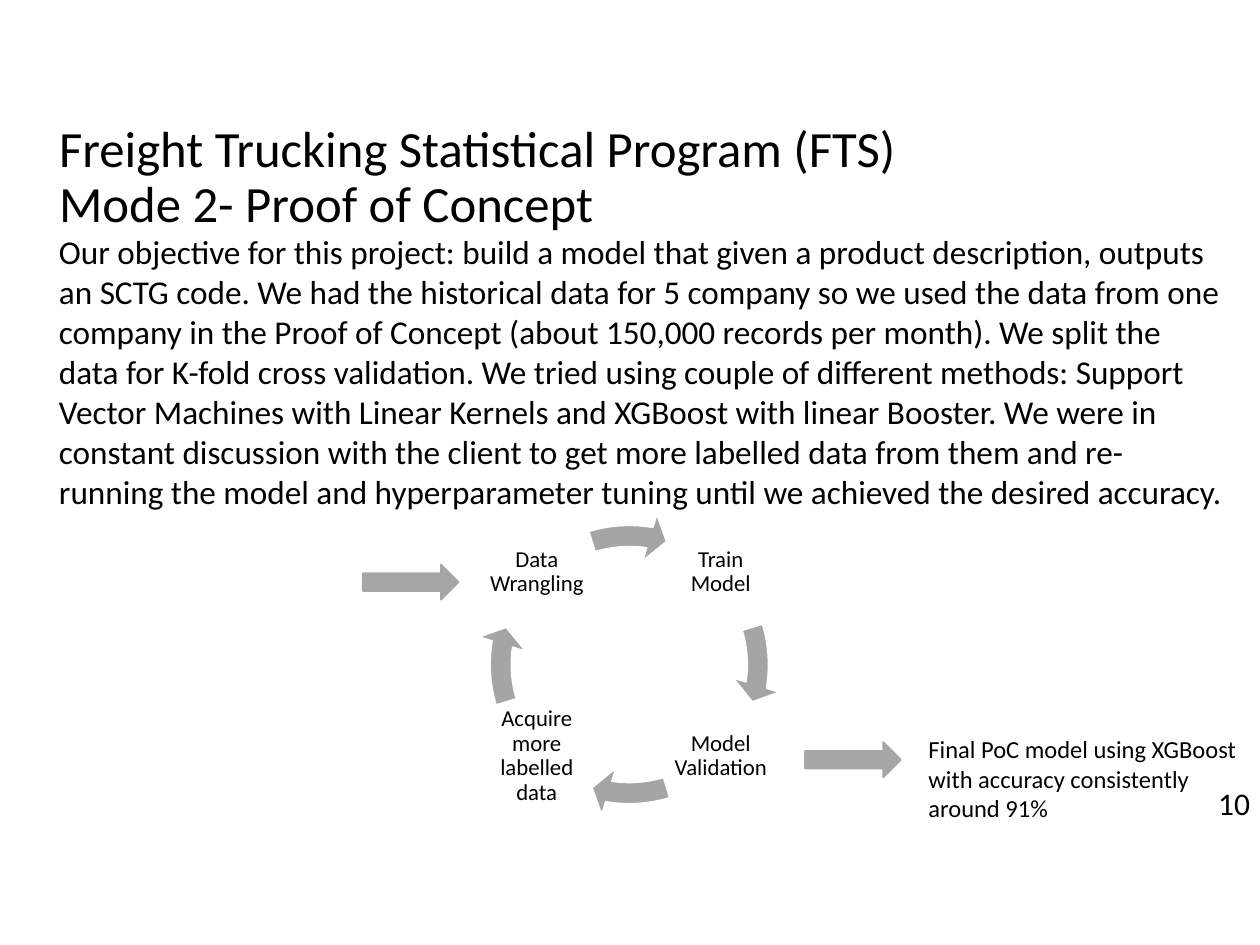
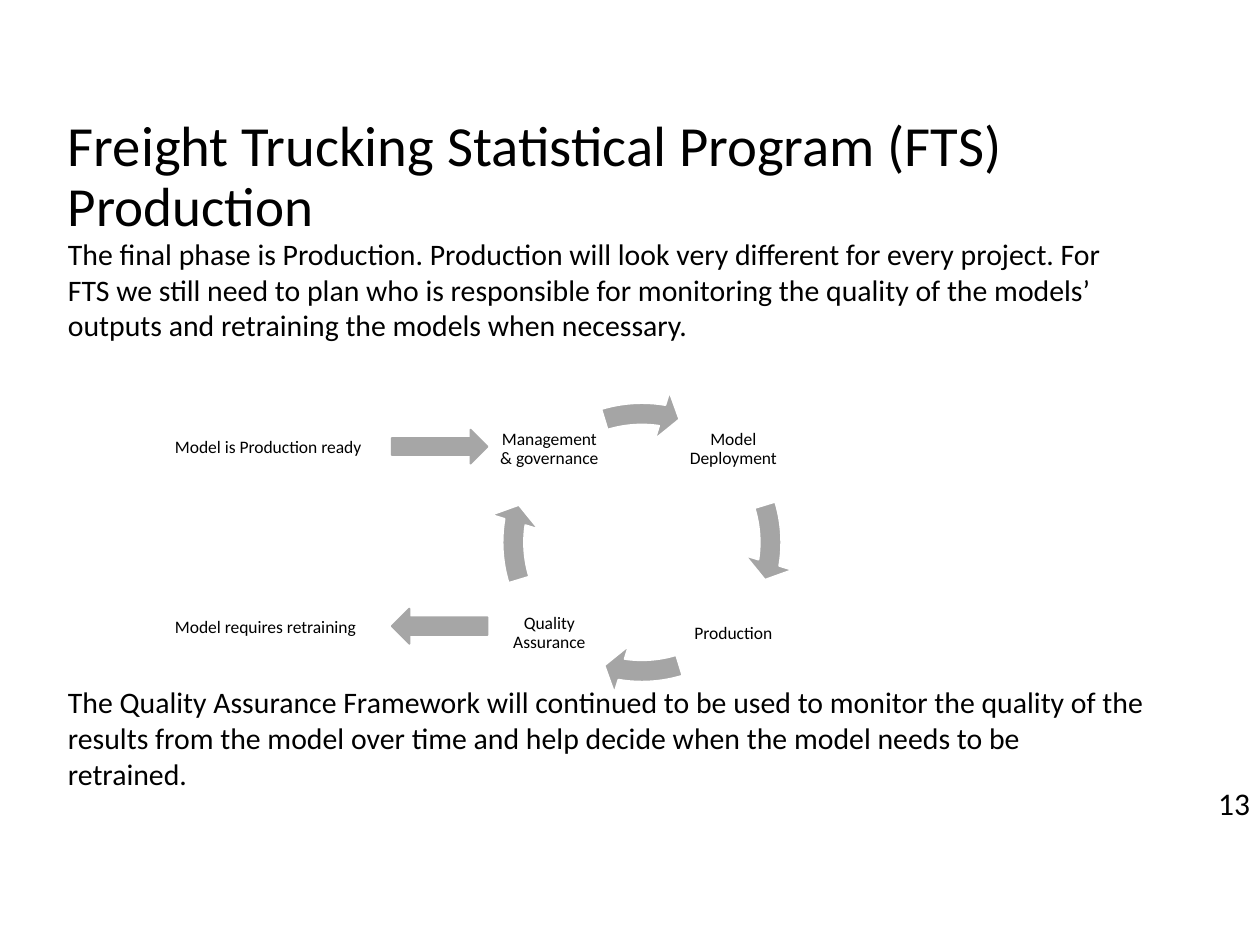
from dataclasses import dataclass

from pptx import Presentation
from pptx.dml.color import RGBColor
from pptx.enum import shapes, text
from pptx.shapes.autoshape import Shape
from pptx.slide import Slide
from pptx.util import Inches, Pt

BLACK = RGBColor(0x00, 0x00, 0x00)
WHITE = RGBColor(0xFF, 0xFF, 0xFF)
RING_GREY = RGBColor(0xA5, 0xA5, 0xA5)
ARROW_GREY = RGBColor(0xA6, 0xA6, 0xA6)
FONT = "Calibri"

RING_SIZE = 2.43
STEP_SIZE = 0.86
STEP_NEAR, STEP_FAR = 0.05, 1.51
# Clockwise from the top right corner
STEP_OFFSETS = [(STEP_FAR, STEP_NEAR), (STEP_FAR, STEP_FAR),
                (STEP_NEAR, STEP_FAR), (STEP_NEAR, STEP_NEAR)]
# Angles of circular arrows: 216 units make a full turn
FULL_TURN = 216
QUARTER_TURN = FULL_TURN / 4
FIRST_ARROW_END, FIRST_ARROW_START = 5.48, 205.86


@dataclass
class TextBox:
    content: str
    left: float
    top: float
    width: float
    height: float
    size: float
    line_spacing: float = 1.0
    inset: float | None = None
    centred: bool = False
    middle: bool = False
    grows: bool = True


@dataclass
class Cycle:
    steps: list[str]
    left: float
    top: float
    text_size: float
    inset: float


@dataclass
class BlockArrow:
    left: float
    top: float
    height: float = 0.28
    preset: shapes.MSO_SHAPE = shapes.MSO_SHAPE.RIGHT_ARROW


def add_text(slide: Slide, box: TextBox) -> Shape:
    shape = slide.shapes.add_textbox(Inches(box.left), Inches(box.top),
                                     Inches(box.width), Inches(box.height))
    frame = shape.text_frame
    frame.word_wrap = True
    frame.auto_size = (text.MSO_AUTO_SIZE.SHAPE_TO_FIT_TEXT if box.grows
                       else text.MSO_AUTO_SIZE.NONE)
    frame.vertical_anchor = text.MSO_ANCHOR.MIDDLE if box.middle else text.MSO_ANCHOR.TOP
    if box.inset is not None:
        frame.margin_left = frame.margin_right = Inches(box.inset)
        frame.margin_top = frame.margin_bottom = Inches(box.inset)
    frame.text = box.content
    for paragraph in frame.paragraphs:
        paragraph.alignment = text.PP_ALIGN.CENTER if box.centred else text.PP_ALIGN.LEFT
        paragraph.line_spacing = box.line_spacing
        for run in paragraph.runs:
            run.font.name = FONT
            run.font.size = Pt(box.size)
            run.font.color.rgb = BLACK
    return shape


def add_title(slide: Slide, content: str, left: float, top: float, size: float) -> Shape:
    return add_text(slide, TextBox(content, left, top, 7.62, 1.02, size,
                                   line_spacing=0.9, middle=True, grows=False))


def add_page_number(slide: Slide, number: int) -> None:
    add_text(slide, TextBox(str(number), 9.57, 6.17, 1.36, 0.4, 18))


def add_preset(slide: Slide, preset: shapes.MSO_SHAPE, left: float, top: float,
               width: float, height: float, fill: RGBColor, line: RGBColor) -> Shape:
    shape = slide.shapes.add_shape(preset, Inches(left), Inches(top),
                                   Inches(width), Inches(height))
    shape.shadow.inherit = False
    shape.fill.solid()
    shape.fill.fore_color.rgb = fill
    shape.line.color.rgb = line
    shape.line.width = Pt(1)
    return shape


def add_block_arrow(slide: Slide, arrow: BlockArrow) -> None:
    add_preset(slide, arrow.preset, arrow.left, arrow.top, 0.76, arrow.height,
               ARROW_GREY, ARROW_GREY)


def add_cycle(slide: Slide, cycle: Cycle) -> None:
    """Draw four steps, each followed by a quarter of the ring."""
    for index, (step, (dx, dy)) in enumerate(zip(cycle.steps, STEP_OFFSETS)):
        add_text(slide, TextBox(step, cycle.left + dx, cycle.top + dy, STEP_SIZE, STEP_SIZE,
                                cycle.text_size, line_spacing=0.9, inset=cycle.inset,
                                centred=True, middle=True, grows=False))
        ring_arrow = add_preset(slide, shapes.MSO_SHAPE.CIRCULAR_ARROW, cycle.left, cycle.top,
                                RING_SIZE, RING_SIZE, RING_GREY, WHITE)
        turn = index * QUARTER_TURN
        settings = (0.07, 4.66, FIRST_ARROW_END + turn,
                    (FIRST_ARROW_START + turn) % FULL_TURN, 0.08)
        for position, value in enumerate(settings):
            ring_arrow.adjustments[position] = value


def build_proof_of_concept(slide: Slide) -> None:
    add_title(slide, "Freight Trucking Statistical Program (FTS)\vMode 2- Proof of Concept",
              0.37, 0.91, 29)
    add_text(slide, TextBox(
        "Our objective for this project: build a model that given a product description, "
        "outputs an SCTG code. We had the historical data for 5 company so we used the data "
        "from one company in the Proof of Concept (about 150,000 records per month). We split "
        "the data for K-fold cross validation. We tried using couple of different methods: "
        "Support Vector Machines with Linear Kernels and XGBoost with linear Booster. We were "
        "in constant discussion with the client to get more labelled data from them and "
        "re-running the model and hyperparameter tuning until we achieved the desired accuracy.",
        0.37, 1.79, 9.43, 2.66, 19))
    add_cycle(slide, Cycle(["Train Model", "Model Validation", "Acquire more labelled data",
                            "Data Wrangling"], 3.78, 4.06, 13, 0.02))
    for arrow in (BlockArrow(2.88, 4.48), BlockArrow(6.39, 5.89)):
        add_block_arrow(slide, arrow)
    add_text(slide, TextBox("Final PoC model using XGBoost with accuracy consistently around 91%",
                            7.27, 5.78, 2.71, 0.81, 14))
    add_page_number(slide, 10)


def build_production(slide: Slide) -> None:
    title = add_title(slide, "Freight Trucking Statistical Program (FTS)\vProduction",
                      0.44, 0.9, 32.4)
    title.text_frame.paragraphs[0].runs[-1].font.size = Pt(31.5)
    body = add_text(slide, TextBox(
        "The final phase is Production. Production will look very different for every project. "
        "For FTS we still need to plan who is responsible for monitoring the quality of the "
        "models’ outputs and retraining the models when necessary.\n"
        "The Quality Assurance Framework will continued to be used to monitor the quality of "
        "the results from the model over time and help decide when the model needs to be "
        "retrained.",
        0.44, 1.82, 8.75, 4.22, 17))
    body.text_frame.paragraphs[1].space_before = Pt(195)
    add_cycle(slide, Cycle(["Model Deployment", "Production", "Quality Assurance",
                            "Management & governance"], 3.88, 3.09, 10, 0.01))
    for arrow in (BlockArrow(3.11, 4.83, preset=shapes.MSO_SHAPE.LEFT_ARROW),
                  BlockArrow(3.11, 3.41, height=0.27)):
        add_block_arrow(slide, arrow)
    for label, top in (("Model requires retraining", 4.84), ("Model is Production ready", 3.41)):
        add_text(slide, TextBox(label, 1.29, top, 1.82, 0.27, 10))
    add_page_number(slide, 13)


def main() -> None:
    presentation = Presentation()
    presentation.slide_width = Inches(10)
    presentation.slide_height = Inches(7.5)
    blank_layout = presentation.slide_layouts[6]
    for build in (build_proof_of_concept, build_production):
        build(presentation.slides.add_slide(blank_layout))
    presentation.save("out.pptx")


if __name__ == "__main__":
    main()
